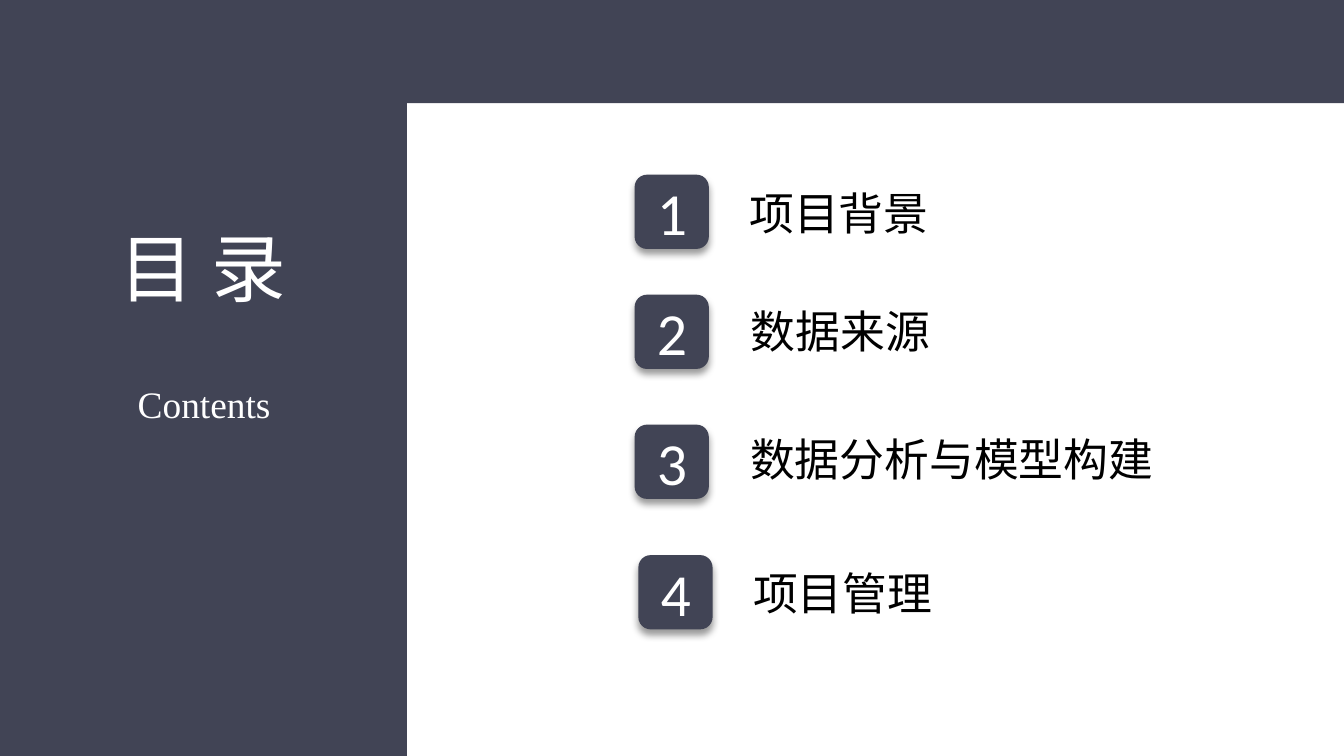
import pptx
import pptx.dml.color
import pptx.enum.shapes
import pptx.enum.text
import pptx.oxml
import pptx.oxml.ns
import pptx.util
from lxml import etree

Pt = pptx.util.Pt
MSO_SHAPE = pptx.enum.shapes.MSO_SHAPE
ANCHOR = pptx.enum.text.MSO_ANCHOR
COLORS = {"slate": "414455", "white": "FFFFFF", "black": "000000"}
CJK = "Noto Sans CJK SC"
SHADOW = (
    f'<a:outerShdw {pptx.oxml.ns.nsdecls("a")} blurRad="{Pt(4)}" dist="{Pt(3)}" '
    'dir="5400000" rotWithShape="0"><a:srgbClr val="000000">'
    '<a:alpha val="40000"/></a:srgbClr></a:outerShdw>'
)


def add_block(shapes, kind, x, y, w, h):
    sp = shapes.add_shape(kind, Pt(x), Pt(y), Pt(w), Pt(h))
    sp.shadow.inherit = False
    sp.fill.solid()
    sp.fill.fore_color.rgb = pptx.dml.color.RGBColor.from_string(COLORS["slate"])
    sp.line.fill.background()
    return sp


def add_label(shapes, text, x, y, w, h, size, font, color, wrap=False, anchor=ANCHOR.TOP):
    tf = shapes.add_textbox(Pt(x), Pt(y), Pt(w), Pt(h)).text_frame
    tf.word_wrap = wrap
    tf.vertical_anchor = anchor
    tf.margin_left = tf.margin_right = tf.margin_top = tf.margin_bottom = Pt(3.6)
    p = tf.paragraphs[0]
    p.text = text
    p.alignment = pptx.enum.text.PP_ALIGN.CENTER
    p.font.size = Pt(size)
    p.font.color.rgb = pptx.dml.color.RGBColor.from_string(COLORS[color])
    p.font.name = font
    # Chinese text takes its typeface from the East Asian font slot
    props = p._p.xpath("./a:pPr/a:defRPr")[0]
    etree.SubElement(props, pptx.oxml.ns.qn("a:ea")).set("typeface", font)


prs = pptx.Presentation()
prs.slide_width, prs.slide_height = Pt(720), Pt(405)
s = prs.slides.add_slide(prs.slide_layouts[6])

# Top band and side panel
add_block(s.shapes, MSO_SHAPE.RECTANGLE, 0, 0, 720, 55.3)
add_block(s.shapes, MSO_SHAPE.RECTANGLE, 0, 53, 218, 352)
add_label(s.shapes, "目 录", 54.7, 115.2, 108, 55.4, 40, CJK, "white")
add_label(s.shapes, "Contents", 69.8, 200.9, 79.2, 31.7, 20, "Times New Roman", "white")

# Agenda: title, title width, badge left, badge top, title top
agenda = [
    ("项目背景", 104.4, 340, 93.6, 95.8),
    ("数据来源", 106, 340, 157.9, 159.1),
    ("数据分析与模型构建", 225.4, 340, 227.5, 227.5),
    ("项目管理", 104.4, 342, 297.4, 299.5),
]
for number, (title, width, x, y, title_y) in enumerate(agenda, start=1):
    badge = s.shapes.add_group_shape()
    sp = add_block(badge.shapes, MSO_SHAPE.ROUNDED_RECTANGLE, x, y, 39.8, 39.8)
    effects = sp._element.spPr.find(pptx.oxml.ns.qn("a:effectLst"))
    effects.append(pptx.oxml.parse_xml(SHADOW))
    add_label(badge.shapes, str(number), x + 2, y - 2.8, 36, 45.6, 32, "Calibri", "white",
              wrap=True, anchor=ANCHOR.MIDDLE)
    add_label(s.shapes, title, x + 57.2, title_y, width, 36, 24, CJK, "black")

prs.save("out.pptx")
